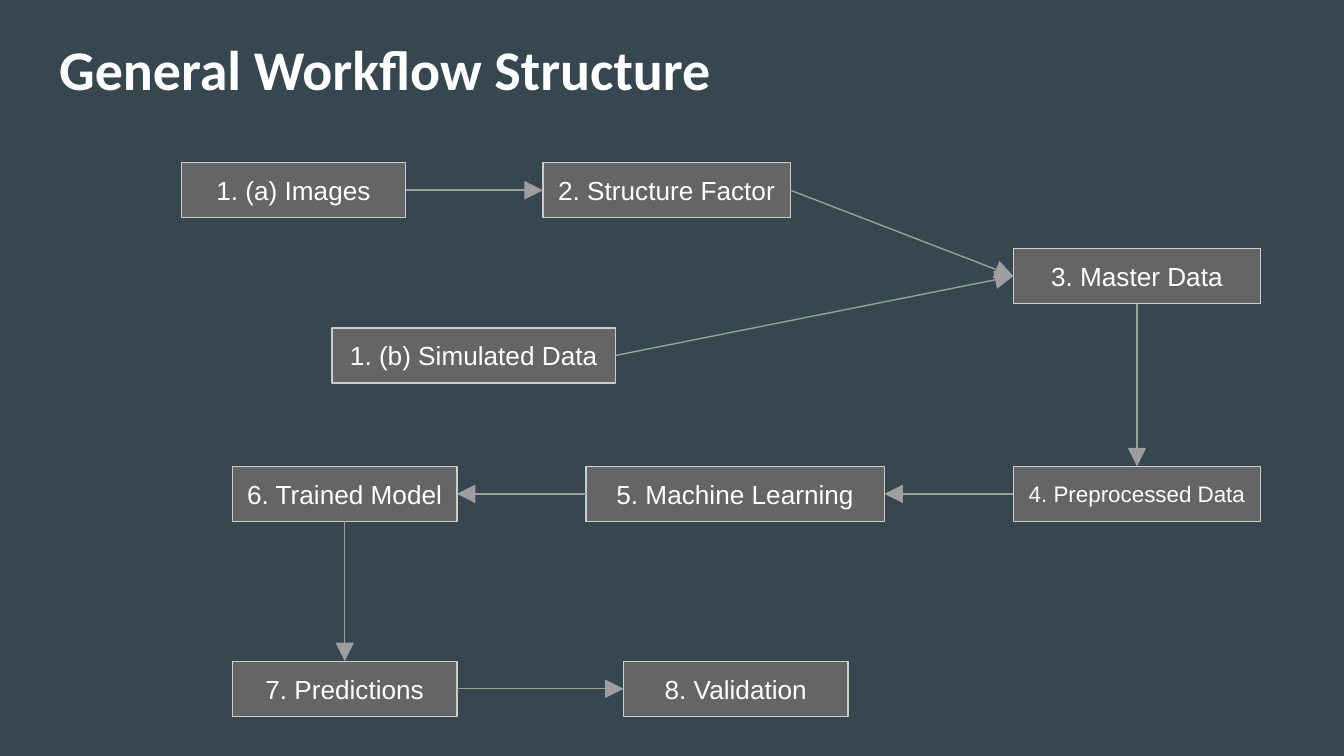
from lxml import etree
from pptx import Presentation
from pptx.dml.color import RGBColor
from pptx.enum.shapes import MSO_CONNECTOR, MSO_SHAPE
from pptx.enum.text import MSO_ANCHOR, PP_ALIGN
from pptx.oxml.ns import qn
from pptx.util import Inches, Pt

COLORS = {
    "background": "37474F",
    "box": "656565",
    "border": "CCCCCC",
    "arrow": "9E9E9E",
    "text": "FFFFFF",
}
TOP, LEFT, BOTTOM, RIGHT = range(4)
BOX_HEIGHT = 0.41
ROWS = {"images": 1.21, "master": 1.85, "simulated": 2.44, "model": 3.47, "results": 4.92}

STEPS = {
    "simulated": ("1. (b) Simulated Data", 2.47, "simulated", 2.11, 14),
    "images": ("1. (a) Images", 1.35, "images", 1.67, 14),
    "factor": ("2. Structure Factor", 4.04, "images", 1.84, 14),
    "master": ("3. Master Data", 7.54, "master", 1.84, 14),
    "preprocessed": ("4. Preprocessed Data", 7.54, "model", 1.84, 12),
    "learning": ("5. Machine Learning", 4.36, "model", 2.22, 14),
    "trained": ("6. Trained Model", 1.73, "model", 1.67, 14),
    "predictions": ("7. Predictions", 1.73, "results", 1.67, 14),
    "validation": ("8. Validation", 4.64, "results", 1.67, 14),
}
ARROWS = [
    ("master", BOTTOM, "preprocessed", TOP),
    ("images", RIGHT, "factor", LEFT),
    ("factor", RIGHT, "master", LEFT),
    ("simulated", RIGHT, "master", LEFT),
    ("preprocessed", LEFT, "learning", RIGHT),
    ("learning", LEFT, "trained", RIGHT),
    ("trained", BOTTOM, "predictions", TOP),
    ("predictions", RIGHT, "validation", LEFT),
]


def color(name):
    return RGBColor.from_string(COLORS[name])


def set_text(shape, text, size, font_name, align, anchor, bold=False):
    frame = shape.text_frame
    frame.text = text
    frame.word_wrap = True
    frame.vertical_anchor = anchor
    frame.margin_left = frame.margin_right = Inches(0.1)
    frame.margin_top = frame.margin_bottom = Inches(0.1)
    paragraph = frame.paragraphs[0]
    paragraph.alignment = align
    font = paragraph.runs[0].font
    font.name, font.size, font.bold = font_name, Pt(size), bold
    font.color.rgb = color("text")


def add_title(slide, text, left, top, width, height):
    title = slide.shapes.title
    title.left, title.top = Inches(left), Inches(top)
    title.width, title.height = Inches(width), Inches(height)
    set_text(title, text, 30, "Calibri", PP_ALIGN.LEFT, MSO_ANCHOR.TOP, bold=True)


def add_step(slide, text, left, top, width, size):
    shape = slide.shapes.add_shape(
        MSO_SHAPE.RECTANGLE, Inches(left), Inches(top), Inches(width), Inches(BOX_HEIGHT))
    shape.shadow.inherit = False
    shape.fill.solid()
    shape.fill.fore_color.rgb = color("box")
    shape.line.color.rgb = color("border")
    shape.line.width = Pt(0.75)
    set_text(shape, text, size, "Arial", PP_ALIGN.CENTER, MSO_ANCHOR.MIDDLE)
    return shape


def add_arrow(slide, start, start_side, end, end_side):
    arrow = slide.shapes.add_connector(MSO_CONNECTOR.STRAIGHT, 0, 0, 0, 0)
    arrow.begin_connect(start, start_side)
    arrow.end_connect(end, end_side)
    arrow.line.color.rgb = color("arrow")
    arrow.line.width = Pt(0.75)
    properties = arrow._element.spPr
    line = properties.find(qn("a:ln"))
    etree.SubElement(line, qn("a:tailEnd"), type="triangle", w="lg", len="lg")
    etree.SubElement(properties, qn("a:effectLst"))


def add_workflow(slide, left, top):
    boxes = {
        name: add_step(slide, text, left + x, top + ROWS[row], width, size)
        for name, (text, x, row, width, size) in STEPS.items()
    }
    for start, start_side, end, end_side in ARROWS:
        add_arrow(slide, boxes[start], start_side, boxes[end], end_side)


def main():
    presentation = Presentation()
    presentation.slide_width = Inches(10)
    presentation.slide_height = presentation.slide_width * 9 // 16
    slide = presentation.slides.add_slide(presentation.slide_layouts[5])
    slide.background.fill.solid()
    slide.background.fill.fore_color.rgb = color("background")
    add_title(slide, "General Workflow Structure", 0.34, 0.16, 9.32, 0.63)
    add_workflow(slide, 0, 0)
    presentation.save("out.pptx")


if __name__ == "__main__":
    main()
